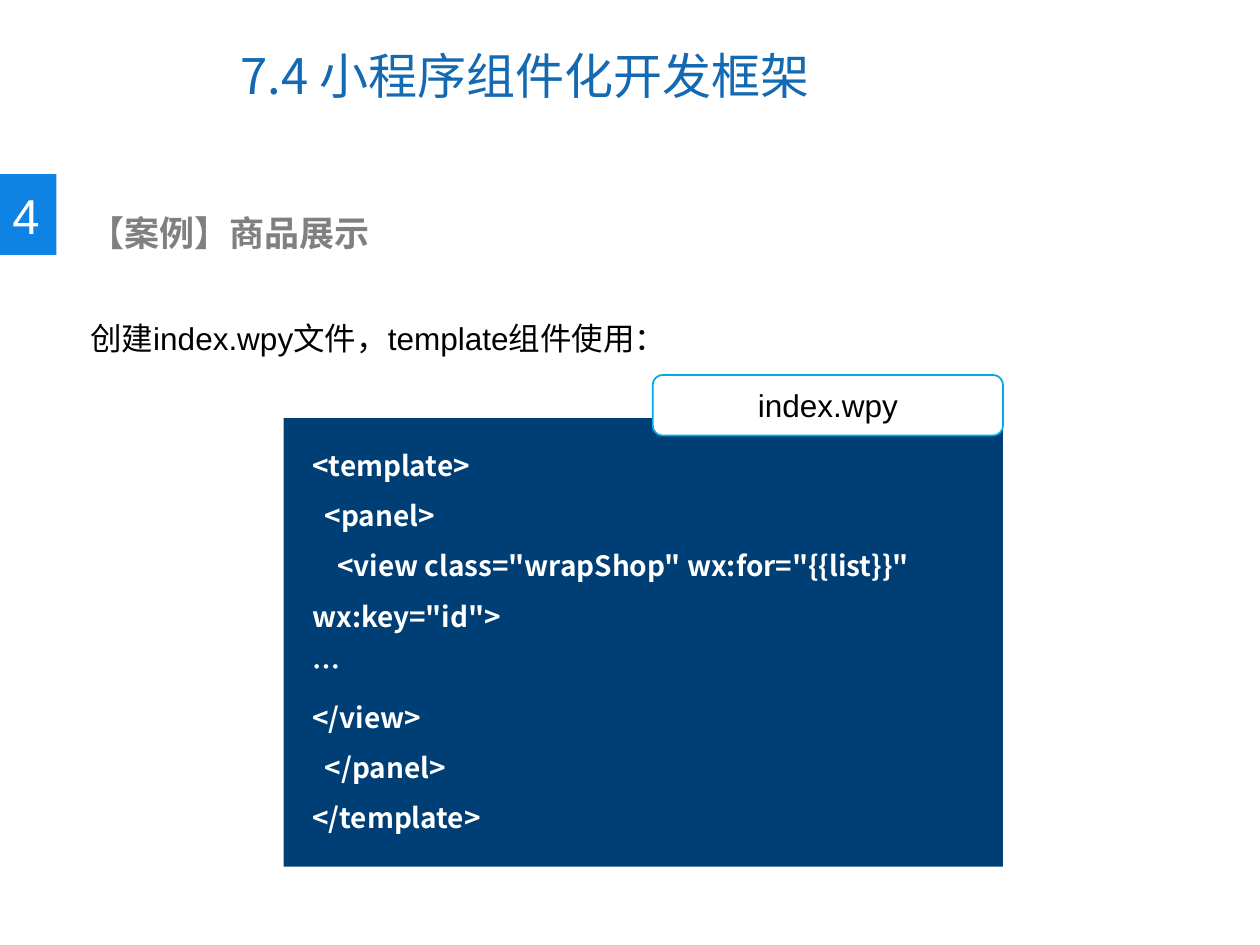
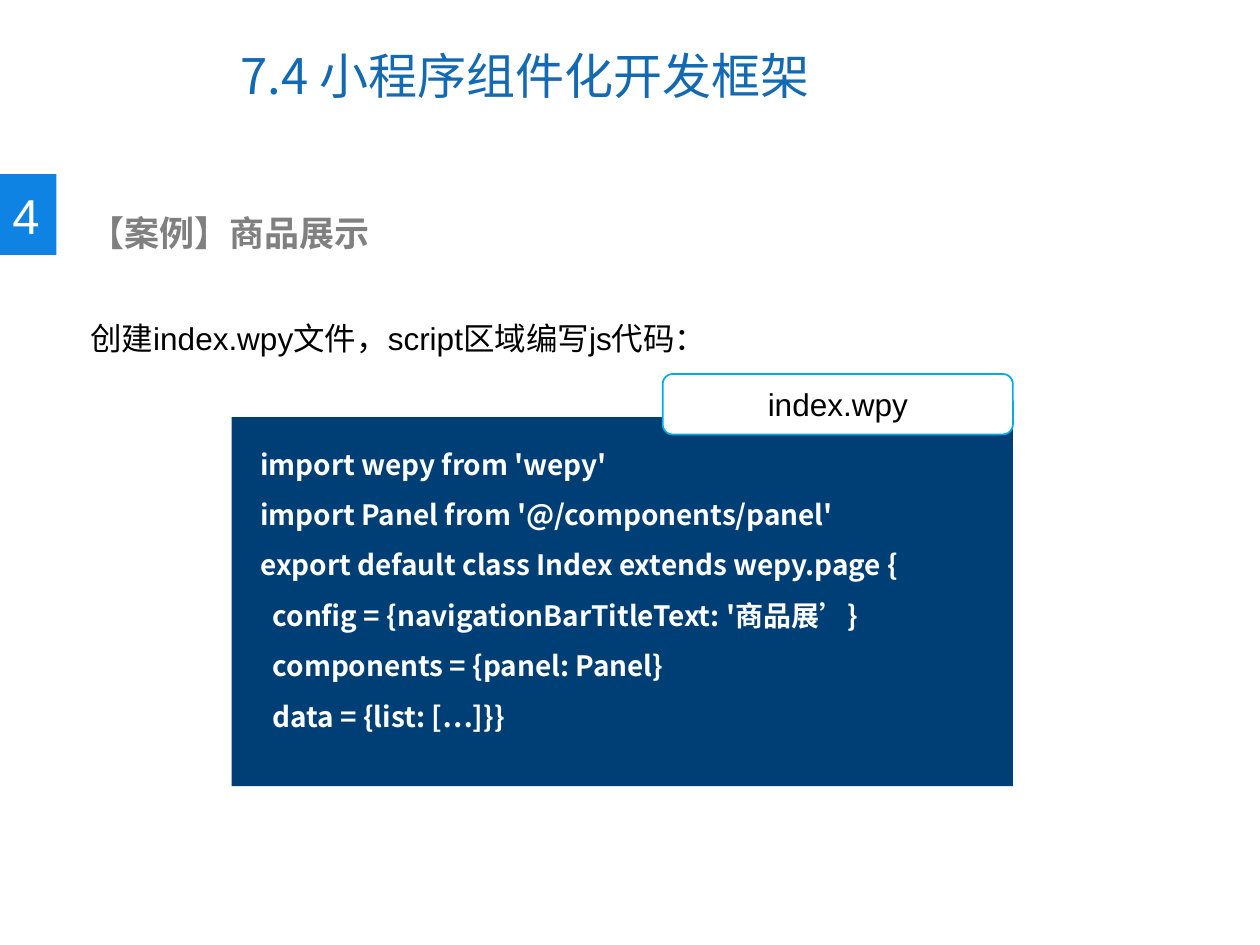
from dataclasses import dataclass

import pptx
import pptx.dml.color
import pptx.enum.shapes
import pptx.enum.text
import pptx.oxml
import pptx.oxml.ns
import pptx.util
from lxml import etree

Cm, Pt = pptx.util.Cm, pptx.util.Pt
SHAPE = pptx.enum.shapes.MSO_SHAPE
ALIGN = pptx.enum.text.PP_ALIGN
ANCHOR = pptx.enum.text.MSO_ANCHOR
qn = pptx.oxml.ns.qn

COLORS = {
    "title": "1369B2",
    "badge": "0F83E3",
    "heading": "808080",
    "panel": "003F75",
    "tag_line": "00ACE6",
    "white": "FFFFFF",
    "black": "000000",
}
LATIN, CJK = "Arial", "Noto Sans CJK SC"
CODE_INDENT = 0.25
TAG_WIDTH, TAG_HEIGHT, TAG_RISE = 7.06, 1.22, 0.87


@dataclass(frozen=True)
class Box:
    """Left, top, width and height in centimetres."""
    left: float
    top: float
    width: float
    height: float

    def lengths(self) -> tuple:
        return Cm(self.left), Cm(self.top), Cm(self.width), Cm(self.height)


@dataclass(frozen=True)
class Style:
    size: int
    color: str
    font: str = LATIN
    bold: bool = False
    align: ALIGN = ALIGN.LEFT
    spacing: float = 1.0


@dataclass(frozen=True)
class CodeLine:
    text: str
    level: int = 0


@dataclass(frozen=True)
class CodeSlide:
    intro: str
    panel: Box
    code: tuple[CodeLine, ...]


TITLE = Style(28, "title", CJK)
NUMBER = Style(28, "white")
HEADING = Style(20, "heading", bold=True)
INTRO = Style(18, "black", spacing=2.0)
TAG = Style(18, "black", align=ALIGN.CENTER)
CODE = Style(16, "white", CJK, bold=True, spacing=1.5)

SLIDES = (
    CodeSlide(
        "创建index.wpy文件，template组件使用：",
        Box(5.72, 8.43, 14.5, 9.04),
        (
            CodeLine("<template>"),
            CodeLine("<panel>", 1),
            CodeLine('<view class="wrapShop" wx:for="{{list}}" wx:key="id">', 2),
            CodeLine("…"),
            CodeLine("</view>"),
            CodeLine("</panel>", 1),
            CodeLine("</template>"),
        ),
    ),
    CodeSlide(
        "创建index.wpy文件，script区域编写js代码：",
        Box(4.67, 8.41, 15.75, 7.44),
        (
            CodeLine("import wepy from 'wepy'"),
            CodeLine("import Panel from '@/components/panel'"),
            CodeLine("export default class Index extends wepy.page {"),
            CodeLine("config = {navigationBarTitleText: '商品展’}", 1),
            CodeLine("components = {panel: Panel}", 1),
            CodeLine("data = {list: […]}}", 1),
        ),
    ),
)


def rgb(name: str) -> pptx.dml.color.RGBColor:
    return pptx.dml.color.RGBColor.from_string(COLORS[name])


def write(p, text: str, style: Style) -> None:
    p.text = text
    p.alignment = style.align
    p.line_spacing = style.spacing
    font = p.font
    font.size, font.bold, font.name = Pt(style.size), style.bold, style.font
    font.color.rgb = rgb(style.color)
    east_asian = etree.SubElement(p._p.pPr.find(qn("a:defRPr")), qn("a:ea"))
    east_asian.set("typeface", CJK)


def add_text(s, box: Box, text: str, style: Style) -> None:
    tf = s.shapes.add_textbox(*box.lengths()).text_frame
    tf.word_wrap = True
    write(tf.paragraphs[0], text, style)


def add_filled(s, kind: SHAPE, box: Box, fill: str, line: str | None = None):
    sp = s.shapes.add_shape(kind, *box.lengths())
    sp.shadow.inherit = False
    sp.fill.solid()
    sp.fill.fore_color.rgb = rgb(fill)
    if line:
        sp.line.color.rgb = rgb(line)
        sp.line.width = Pt(1)
    else:
        sp.line.fill.background()
    return sp


def add_header(s) -> None:
    """Place the title, section number and case heading."""
    title = s.shapes.title
    title.left, title.top, title.width, title.height = Box(4.6, 0.43, 13.11, 2.16).lengths()
    title.text_frame.vertical_anchor = ANCHOR.MIDDLE
    write(title.text_frame.paragraphs[0], "7.4 小程序组件化开发框架", TITLE)

    badge = add_filled(s, SHAPE.RECTANGLE, Box(0, 3.51, 1.14, 1.63), "badge")
    tf = badge.text_frame
    tf.margin_left, tf.margin_right = Cm(0.25), 0
    write(tf.paragraphs[0], "4", NUMBER)

    add_text(s, Box(1.55, 4.14, 13.06, 1.12), "【案例】商品展示", HEADING)


def add_code(s, panel: Box, code: tuple[CodeLine, ...]) -> None:
    tf = add_filled(s, SHAPE.RECTANGLE, panel, "panel").text_frame
    tf.word_wrap = True
    tf.vertical_anchor = ANCHOR.TOP
    tf.margin_left, tf.margin_top = Cm(0.58), Cm(0.27)
    for i, line in enumerate(code):
        p = tf.add_paragraph() if i else tf.paragraphs[0]
        write(p, line.text, CODE)
        p._p.pPr.set("marL", "0")
        p._p.pPr.set("indent", str(Cm(line.level * CODE_INDENT)))


def add_file_tag(s, panel: Box) -> None:
    """Straddle the panel's top right corner with the file name."""
    box = Box(panel.left + panel.width - TAG_WIDTH, panel.top - TAG_RISE, TAG_WIDTH, TAG_HEIGHT)
    tag = add_filled(s, SHAPE.ROUNDED_RECTANGLE, box, "white", "tag_line")
    write(tag.text_frame.paragraphs[0], "index.wpy", TAG)


def main() -> None:
    prs = pptx.Presentation()
    prs.slide_width, prs.slide_height = Cm(25.4), Cm(19.05)
    title_only = prs.slide_layouts[5]
    for content in SLIDES:
        s = prs.slides.add_slide(title_only)
        add_header(s)
        add_code(s, content.panel, content.code)
        add_file_tag(s, content.panel)
        add_text(s, Box(1.57, 5.54, 21.97, 1.55), content.intro, INTRO)
    prs.save("out.pptx")


if __name__ == "__main__":
    main()
